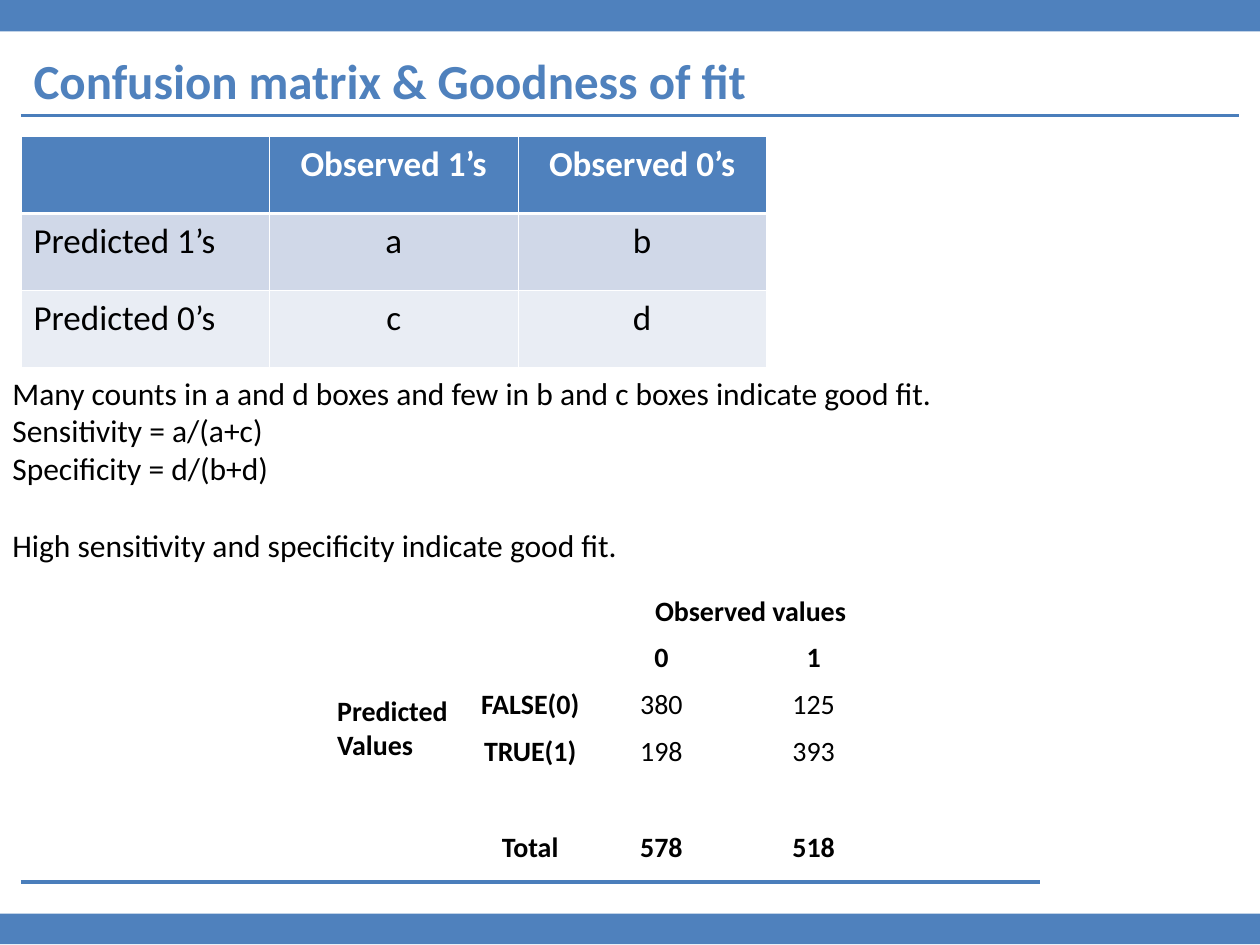
import pptx
import pptx.util
import pptx.dml.color
import pptx.enum.shapes
import pptx.enum.text
import pptx.oxml.ns
import lxml.etree

Pt = pptx.util.Pt
ALIGN = pptx.enum.text.PP_ALIGN
ANCHOR = pptx.enum.text.MSO_ANCHOR
BLUE, LINE_BLUE, WHITE, BLACK = "4F81BD", "4A7EBB", "FFFFFF", "000000"


def colour(value):
    return pptx.dml.color.RGBColor.from_string(value)


def add_element(parent, tag, **attributes):
    return lxml.etree.SubElement(parent, pptx.oxml.ns.qn(tag), attributes)


def write(para, text, size=18, color=BLACK, bold=False, align=ALIGN.LEFT, before=0):
    para.alignment = align
    para.space_before = Pt(before)
    span = para.add_run()
    span.text = text
    span.font.name = "Calibri"
    span.font.size = Pt(size)
    span.font.bold = bold
    span.font.color.rgb = colour(color)


def add_band(page, left, top, width, height):
    band = page.shapes.add_shape(
        pptx.enum.shapes.MSO_SHAPE.RECTANGLE, Pt(left), Pt(top), Pt(width), Pt(height))
    band.shadow.inherit = False
    band.fill.solid()
    band.fill.fore_color.rgb = colour(BLUE)
    band.line.fill.background()


def add_rule(page, left, top, width):
    rule = page.shapes.add_connector(
        pptx.enum.shapes.MSO_CONNECTOR.STRAIGHT, Pt(left), Pt(top), Pt(left + width), Pt(top))
    rule.line.color.rgb = colour(LINE_BLUE)
    rule.line.width = Pt(2)
    add_element(rule._element.spPr, "a:effectLst")


def add_frame(page, width, height):
    add_band(page, 0, 0, width, 18)
    add_band(page, 0, height - 18, width, 17.5)
    add_rule(page, 12, 504, 582)
    add_rule(page, 12, 66, width - 24)


def add_title(page, left, top, width, height):
    title = page.shapes.title
    title.left, title.top, title.width, title.height = Pt(left), Pt(top), Pt(width), Pt(height)
    title.text_frame.vertical_anchor = ANCHOR.BOTTOM
    write(title.text_frame.paragraphs[0], "Confusion matrix & Goodness of fit",
          size=28, color=BLUE, bold=True)


def add_grid(page, left, top, widths, heights):
    frame = page.shapes.add_table(
        len(heights), len(widths), Pt(left), Pt(top), Pt(sum(widths)), Pt(sum(heights)))
    grid = frame.table
    grid.first_row = grid.horz_banding = False
    for column, width in zip(grid.columns, widths):
        column.width = Pt(width)
    for row, height in zip(grid.rows, heights):
        row.height = Pt(height)
    return grid


def add_borders(cell, **widths):
    properties = cell._tc.get_or_add_tcPr()
    for side in "LRTB":
        width = Pt(widths.get(side, 0.45))
        border = add_element(properties, "a:ln" + side, w=str(width))
        add_element(add_element(border, "a:solidFill"), "a:srgbClr", val=WHITE)


def add_definition_table(page, left, top, width, height):
    rows = [
        ("", "Observed 1’s", "Observed 0’s"),
        ("Predicted 1’s", "a", "b"),
        ("Predicted 0’s", "c", "d"),
    ]
    fills = [BLUE, "D0D8E8", "E9EDF4"]
    heavy_sides = [{"B": 1.47}, {"T": 1.47}, {}]
    grid = add_grid(page, left, top, [width / 3] * 3, [height / 3] * 3)
    for r, texts in enumerate(rows):
        for c, text in enumerate(texts):
            cell = grid.cell(r, c)
            add_borders(cell, **heavy_sides[r])
            cell.fill.solid()
            cell.fill.fore_color.rgb = colour(fills[r])
            if text:
                write(cell.text_frame.paragraphs[0], text, size=20, bold=r == 0,
                      color=WHITE if r == 0 else BLACK,
                      align=ALIGN.CENTER if c else ALIGN.LEFT)


def add_counts_table(page, left, top):
    rows = [
        ("", "", "Observed values", ""),
        ("", "", "0", "1"),
        ("Predicted Values", "FALSE(0)", "380", "125"),
        ("", "TRUE(1)", "198", "393"),
        ("", "", "", ""),
        ("", "Total", "578", "518"),
    ]
    heights = [26.8] * 4 + [28, 26.8]
    grid = add_grid(page, left, top, [72, 78, 72, 102], heights)
    grid.cell(0, 2).merge(grid.cell(0, 3))
    grid.cell(2, 0).merge(grid.cell(3, 0))
    for r, texts in enumerate(rows):
        for c, text in enumerate(texts):
            cell = grid.cell(r, c)
            cell.fill.background()
            cell.margin_left = cell.margin_right = Pt(0.72)
            cell.margin_top = cell.margin_bottom = Pt(3.6 if text else 0)
            cell.vertical_anchor = ANCHOR.BOTTOM if r == 0 else ANCHOR.MIDDLE
            if text:
                write(cell.text_frame.paragraphs[0], text, size=16,
                      bold=not (r in (2, 3) and c >= 2),
                      align=ALIGN.CENTER if c else ALIGN.LEFT)


def add_explanation(page, left, top, width, height):
    lines = [
        ("Many counts in a and d boxes and few in b and c boxes indicate good fit.", 0),
        ("Sensitivity = a/(a+c)", 0),
        ("Specificity = d/(b+d)", 0),
        ("High sensitivity and specificity indicate good fit.", 22),
    ]
    box = page.shapes.add_textbox(Pt(left), Pt(top), Pt(width), Pt(height))
    box.text_frame.word_wrap = True
    for index, (text, before) in enumerate(lines):
        para = box.text_frame.add_paragraph() if index else box.text_frame.paragraphs[0]
        write(para, text, before=before)


def main():
    deck = pptx.Presentation()
    deck.slide_width, deck.slide_height = Pt(720), Pt(540)
    page = deck.slides.add_slide(deck.slide_layouts[5])
    add_frame(page, 720, 540)
    add_title(page, 12, 0, 696, 66)
    add_definition_table(page, 12, 78, 426, 132)
    add_counts_table(page, 192, 336)
    add_explanation(page, 0, 210, 690, 115)
    deck.save("out.pptx")


if __name__ == "__main__":
    main()
